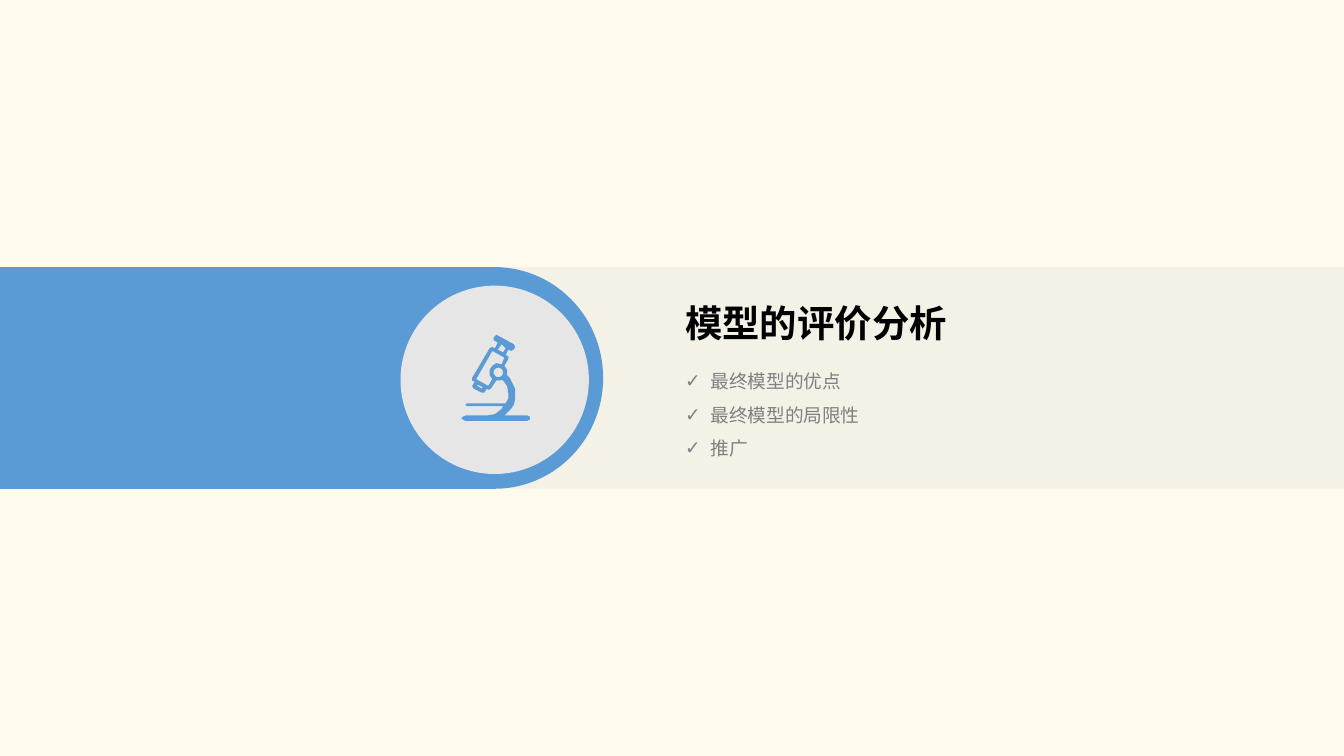
from dataclasses import dataclass
from math import cos, pi, sin

from lxml.etree import SubElement
from pptx import Presentation
from pptx.dml.color import RGBColor
from pptx.enum.shapes import MSO_SHAPE as Shape
from pptx.enum.text import MSO_ANCHOR as Anchor, MSO_AUTO_SIZE as AutoSize, PP_ALIGN as Align
from pptx.oxml.ns import qn
from pptx.util import Cm, Pt


@dataclass(frozen=True)
class Theme:
    background: str = "FEFAEE"
    band: str = "D0CECE"
    accent: str = "5B9BD5"
    disc: str = "E7E6E6"
    heading: str = "000000"
    muted: str = "808080"
    heading_font: str = "Roboto Condensed"
    body_font: str = "Arial"
    heading_size: int = 20
    body_size: int = 10


def color(value):
    return RGBColor.from_string(value)


def arc(x, y, radius_x, radius_y, start, end, steps=60):
    """Points along an elliptical arc."""
    angles = (start + (end - start) * step / steps for step in range(steps + 1))
    return [(x + radius_x * cos(angle), y + radius_y * sin(angle)) for angle in angles]


class SlideBuilder:
    def __init__(self, slide, theme):
        self.slide = slide
        self.theme = theme
        fill = slide.background.fill
        fill.solid()
        fill.fore_color.rgb = color(theme.background)

    def paint(self, shape, fill, alpha=None):
        shape.shadow.inherit = False
        shape.fill.solid()
        shape.fill.fore_color.rgb = color(fill)
        shape.line.fill.background()
        if alpha is not None:
            tone = shape.fill._xPr.find(".//" + qn("a:srgbClr"))
            SubElement(tone, qn("a:alpha"), val=str(alpha * 1000))

    def preset(self, kind, box, fill, alpha=None):
        self.paint(self.slide.shapes.add_shape(kind, *map(Cm, box)), fill, alpha)

    def outline(self, contours, fill, origin=(0, 0), unit=1):
        """Closed contours in one shape; inner ones cut holes."""
        paths = [[(Cm(x * unit), Cm(y * unit)) for x, y in contour] for contour in contours]
        builder = self.slide.shapes.build_freeform(*paths[0][0])
        for index, path in enumerate(paths):
            if index:
                builder.move_to(*path[0])
            builder.add_line_segments(path[1:], close=True)
        self.paint(builder.convert_to_shape(*map(Cm, origin)), fill)

    def text(self, holder, box, lines, wrap, font, spacing=1.0, bullet=None):
        # Bring the placeholder in front of the shapes
        self.slide.shapes._spTree.append(holder._element)
        for name, value in zip(("left", "top", "width", "height"), box):
            setattr(holder, name, Cm(value))
        frame = holder.text_frame
        frame_format = {
            "word_wrap": wrap, "auto_size": AutoSize.NONE, "vertical_anchor": Anchor.TOP,
            "margin_left": Cm(0.25), "margin_right": Cm(0.25),
            "margin_top": Cm(0.13), "margin_bottom": Cm(0.13),
        }
        para_format = {"alignment": Align.LEFT, "line_spacing": spacing,
                       "space_before": Pt(0), "space_after": Pt(0)}
        for name, value in frame_format.items():
            setattr(frame, name, value)
        for index, line in enumerate(lines):
            para = frame.add_paragraph() if index else frame.paragraphs[0]
            for name, value in para_format.items():
                setattr(para, name, value)
            span = para.add_run()
            span.text = line
            for name, value in font.items():
                setattr(span.font, name, value)
            span.font.color.rgb = color(self.theme.muted if bullet else self.theme.heading)
            if bullet:
                properties = para._p.get_or_add_pPr()
                properties.set("marL", str(Cm(0.48)))
                properties.set("indent", str(-Cm(0.48)))
                SubElement(properties, qn("a:buChar"), char=bullet)

    def title(self, box, line):
        theme = self.theme
        font = {"name": theme.heading_font, "size": Pt(theme.heading_size), "bold": True}
        self.text(self.slide.shapes.title, box, [line], True, font)

    def bullets(self, box, lines):
        theme = self.theme
        font = {"name": theme.body_font, "size": Pt(theme.body_size), "bold": False}
        self.text(self.slide.placeholders[1], box, lines, False, font, 1.5, "✓")


# Microscope: outer contour, then eyepiece, tube, lens and tip openings
MICROSCOPE = [
    [(34, 30), (36, 32), (38, 36), (40, 40), (40, 44), (40, 48), (39, 52), (37, 55), (34, 58),
     (32, 60), (49, 60), (51, 61), (51, 63), (49, 64), (3, 64), (1, 63), (0, 62), (1, 61),
     (3, 60), (19, 60), (25, 59), (30, 55), (31, 53), (4, 53), (3, 52), (4, 51), (33, 51),
     (35, 47), (35, 44), (34, 38), (31, 34), (28, 34), (26, 34), (22, 40), (20, 41), (19, 40),
     (17, 43), (15, 43), (9, 40), (8, 38), (10, 35), (8, 34), (8, 32), (21, 10), (23, 9),
     (25, 10), (27, 6), (26, 5), (24, 4), (24, 2), (26, 0), (28, 1), (39, 7), (40, 9),
     (39, 11), (37, 12), (35, 11), (33, 15), (35, 16), (35, 18), (32, 23), (34, 26), (34, 28)],
    [(33, 10), (30, 7), (27, 11), (31, 13)],
    [(30, 22), (32, 17), (23, 12), (11, 33), (20, 38), (23, 33), (21, 30), (21, 26),
     (23, 23), (26, 21)],
    arc(27.5, 28, 3.5, 3.5, 0, 2 * pi),
    [(12, 37), (12, 38), (15, 40), (16, 39)],
]


def main():
    deck = Presentation()
    deck.slide_width, deck.slide_height = Cm(25.4), Cm(14.29)
    theme = Theme()
    page = SlideBuilder(deck.slides.add_slide(deck.slide_layouts[1]), theme)

    # Band across the slide with a round-ended bar
    top, height = 5.05, 4.19
    page.preset(Shape.RECTANGLE, (4.62, top, 20.78, height), theme.band, alpha=20)
    cap = arc(9.35, top + height / 2, 2.05, height / 2, -pi / 2, pi / 2)
    page.outline([[(0, top), *cap, (0, top + height)]], theme.accent)

    # Section text
    page.bullets((12.7, 6.65, 3.84, 2.08), ["最终模型的优点", "最终模型的局限性", "推广"])
    page.title((12.7, 5.54, 5.79, 1.12), "模型的评价分析")

    # Icon on a disc
    page.preset(Shape.OVAL, (7.57, 5.4, 3.56, 3.56), theme.disc)
    page.outline(MICROSCOPE, theme.accent, origin=(8.72, 6.33), unit=2.54 / 100)

    deck.save("out.pptx")


if __name__ == "__main__":
    main()
